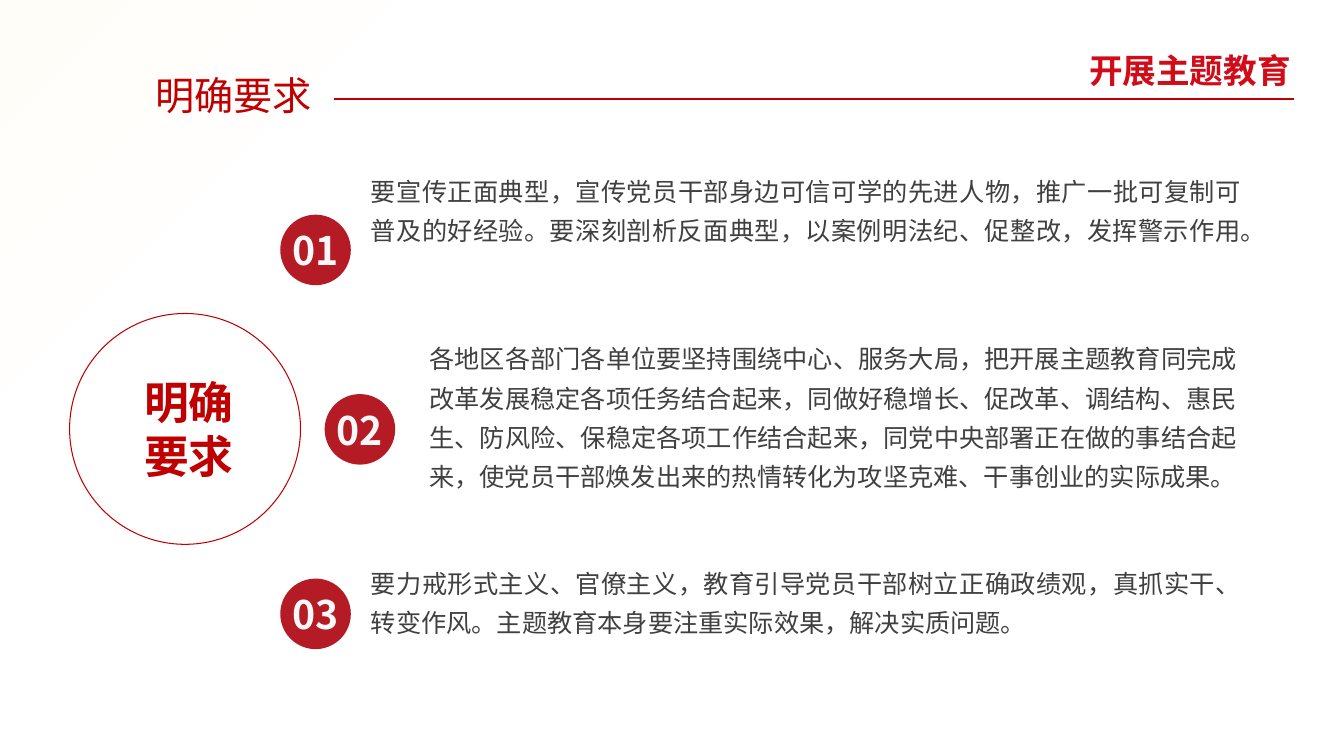
from dataclasses import dataclass

from lxml.etree import SubElement
from pptx import Presentation
from pptx.dml.color import RGBColor
from pptx.enum.shapes import MSO_CONNECTOR, MSO_SHAPE
from pptx.enum.text import MSO_ANCHOR, MSO_AUTO_SIZE, PP_ALIGN
from pptx.oxml.ns import qn
from pptx.shapes.autoshape import Shape
from pptx.slide import Slide
from pptx.text.text import TextFrame
from pptx.util import Inches, Pt

FONT = "Noto Sans CJK SC"
COLORS = {
    "red": "C00000",
    "heading": "D10C18",
    "badge": "B51B25",
    "number": "F8F8F8",
    "body": "404040",
    "cream": "FFFDF8",
    "white": "FFFFFF",
}
BADGE_SIZE = 0.7


@dataclass(frozen=True)
class TextStyle:
    size: float
    color: str
    bold: bool = False
    align: PP_ALIGN = PP_ALIGN.LEFT
    line_spacing: float = 1.0


@dataclass(frozen=True)
class Requirement:
    badge_left: float
    badge_top: float
    text_left: float
    text_top: float
    text_width: float
    text_height: float
    text: str


TITLE = TextStyle(28, "red", line_spacing=1.1)
HEADING = TextStyle(24, "heading", bold=True, align=PP_ALIGN.RIGHT)
HUB = TextStyle(32, "red", bold=True, align=PP_ALIGN.CENTER)
NUMBER = TextStyle(28, "number", bold=True, align=PP_ALIGN.CENTER)
BODY = TextStyle(18, "body", align=PP_ALIGN.JUSTIFY, line_spacing=1.3)

REQUIREMENTS = [
    Requirement(
        2.78, 2.13, 3.58, 1.61, 8.83, 0.86,
        "要宣传正面典型，宣传党员干部身边可信可学的先进人物，推广一批可复制可普及的好经验。"
        "要深刻剖析反面典型，以案例明法纪、促整改，发挥警示作用。",
    ),
    Requirement(
        3.22, 3.91, 4.16, 3.27, 8.21, 1.64,
        "各地区各部门各单位要坚持围绕中心、服务大局，把开展主题教育同完成改革发展稳定各项任务结合起来，"
        "同做好稳增长、促改革、调结构、惠民生、防风险、保稳定各项工作结合起来，"
        "同党中央部署正在做的事结合起来，使党员干部焕发出来的热情转化为攻坚克难、干事创业的实际成果。",
    ),
    Requirement(
        2.78, 5.74, 3.58, 5.5, 8.83, 0.86,
        "要力戒形式主义、官僚主义，教育引导党员干部树立正确政绩观，真抓实干、转变作风。"
        "主题教育本身要注重实际效果，解决实质问题。",
    ),
]


def rgb(name: str) -> RGBColor:
    return RGBColor.from_string(COLORS[name])


def write(frame: TextFrame, lines: list[str], style: TextStyle) -> None:
    for index, line in enumerate(lines):
        para = frame.add_paragraph() if index else frame.paragraphs[0]
        para.alignment = style.align
        para.line_spacing = style.line_spacing
        span = para.add_run()
        span.text = line
        span.font.size = Pt(style.size)
        span.font.bold = style.bold
        span.font.color.rgb = rgb(style.color)
        span.font.name = FONT
        SubElement(span.font._element, qn("a:ea"), typeface=FONT)


def add_text(page: Slide, left: float, top: float, width: float, height: float,
             text: str, style: TextStyle, wrap: bool = True) -> None:
    box = page.shapes.add_textbox(Inches(left), Inches(top), Inches(width), Inches(height))
    box.text_frame.word_wrap = wrap
    write(box.text_frame, [text], style)


def add_circle(page: Slide, left: float, top: float, size: float,
               lines: list[str], style: TextStyle) -> Shape:
    circle = page.shapes.add_shape(
        MSO_SHAPE.OVAL, Inches(left), Inches(top), Inches(size), Inches(size))
    circle.shadow.inherit = False
    frame = circle.text_frame
    frame.word_wrap = False
    frame.vertical_anchor = MSO_ANCHOR.MIDDLE
    frame.margin_left = frame.margin_right = frame.margin_top = frame.margin_bottom = 0
    write(frame, lines, style)
    return circle


def set_background(page: Slide) -> None:
    """Fade a faint cream from the top left corner into white."""
    fill = page.background.fill
    fill.gradient()
    fill.gradient_angle = 315
    for stop, name, position in zip(fill.gradient_stops, ("cream", "white"), (0, 0.25)):
        stop.color.rgb = rgb(name)
        stop.position = position


def add_header(page: Slide) -> None:
    title = page.shapes.title
    title.left, title.top = Inches(1.44), Inches(0.61)
    title.width, title.height = Inches(3.26), Inches(0.59)
    title.text_frame.auto_size = MSO_AUTO_SIZE.NONE
    title.text_frame.vertical_anchor = MSO_ANCHOR.TOP
    write(title.text_frame, ["明确要求"], TITLE)

    add_text(page, 10.68, 0.45, 2.22, 0.5, "开展主题教育", HEADING, wrap=False)
    rule = page.shapes.add_connector(
        MSO_CONNECTOR.STRAIGHT, Inches(3.31), Inches(0.98), Inches(12.83), Inches(0.98))
    rule.line.color.rgb = rgb("red")
    rule.line.width = Pt(1.5)
    SubElement(rule._element.spPr, qn("a:effectLst"))


def add_hub(page: Slide) -> None:
    hub = add_circle(page, 0.69, 3.11, 2.29, ["明确", "要求"], HUB)
    hub.fill.background()
    hub.line.color.rgb = rgb("red")
    hub.line.width = Pt(0.75)
    hub.text_frame.margin_left = Inches(0.08)


def add_requirement(page: Slide, number: int, item: Requirement) -> None:
    badge = add_circle(
        page, item.badge_left, item.badge_top, BADGE_SIZE, [f"{number:02}"], NUMBER)
    badge.fill.solid()
    badge.fill.fore_color.rgb = rgb("badge")
    badge.line.fill.background()
    add_text(page, item.text_left, item.text_top, item.text_width, item.text_height,
             item.text, BODY)


def main() -> None:
    deck = Presentation()
    deck.slide_width, deck.slide_height = Inches(13.33), Inches(7.5)
    page = deck.slides.add_slide(deck.slide_layouts[5])
    set_background(page)
    add_header(page)
    add_hub(page)
    for number, item in enumerate(REQUIREMENTS, start=1):
        add_requirement(page, number, item)
    deck.save("out.pptx")


if __name__ == "__main__":
    main()
